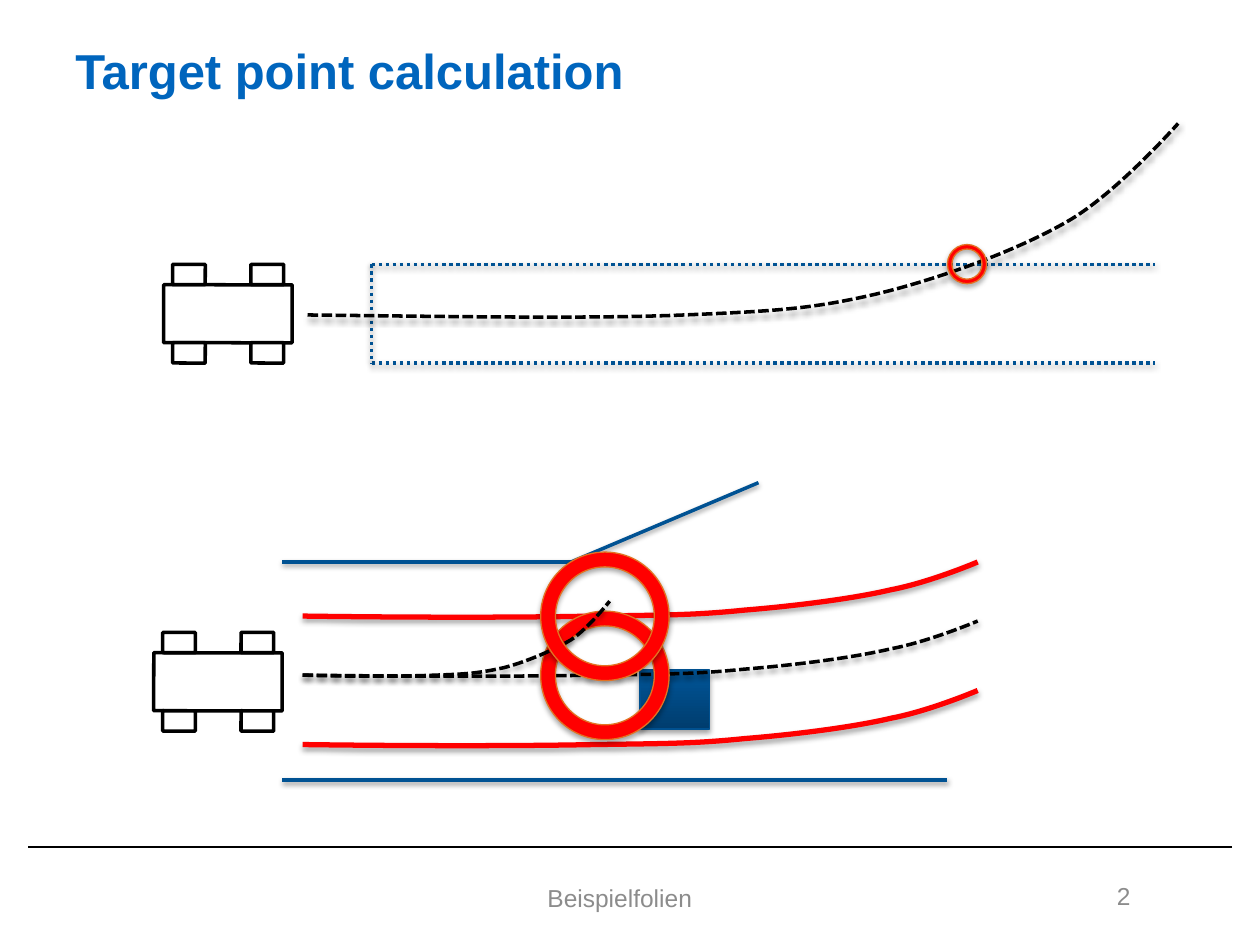
"""Build the slide on target point calculation for a vehicle."""
import lxml.etree
import pptx
import pptx.dml.color
import pptx.enum.dml
import pptx.enum.shapes
import pptx.enum.text
import pptx.oxml.ns
import pptx.util
from pptx.util import Cm, Pt

RGB = pptx.dml.color.RGBColor
DASH = pptx.enum.dml.MSO_LINE
KIND = pptx.enum.shapes.MSO_SHAPE
ALIGN = pptx.enum.text.PP_ALIGN
BLACK = RGB(0x00, 0x00, 0x00)
WHITE = RGB(0xFF, 0xFF, 0xFF)
RED = RGB(0xFF, 0x00, 0x00)
ORANGE = RGB(0xE3, 0x72, 0x22)
BLUE = RGB(0x00, 0x52, 0x93)
NAVY = RGB(0x00, 0x3D, 0x6E)
SEA = RGB(0x00, 0x50, 0x8F)
SKY = RGB(0x00, 0x65, 0xBD)
GREY = RGB(0x8C, 0x8C, 0x8C)

PATH = [(6.2, 6.35), (9.04, 6.38), (11.89, 6.43), (13.79, 6.35),
        (15.72, 6.27), (16.41, 6.22), (17.7, 5.92),
        (18.97, 5.61), (20.5, 5.05), (21.51, 4.47),
        (22.5, 3.91), (23.75, 2.49), (23.75, 2.49)]
LANE = [(6.1, 13.61), (8.31, 13.64), (10.52, 13.64), (11.99, 13.61),
        (13.49, 13.59), (14.02, 13.59), (15.01, 13.49),
        (16, 13.41), (17.2, 13.26), (17.96, 13.08),
        (18.75, 12.93), (19.71, 12.52), (19.71, 12.52)]
DODGE = [(6.1, 13.61), (7.11, 13.64), (8.1, 13.64), (8.79, 13.61),
         (9.47, 13.59), (9.7, 13.56), (10.16, 13.46),
         (10.62, 13.34), (11.15, 13.11), (11.51, 12.9),
         (11.86, 12.67), (12.29, 12.12), (12.29, 12.12)]


def tag(name):
    return pptx.oxml.ns.qn("a:" + name)


def shade(shape, dist=0, alpha=0):
    props = shape._element.spPr
    for old in props.findall(tag("effectLst")):
        props.remove(old)
    effect = lxml.etree.SubElement(props, tag("effectLst"))
    if dist:
        cast = lxml.etree.SubElement(
            effect, tag("outerShdw"), blurRad=str(Pt(3.1)),
            dist=str(Pt(dist)), dir="5400000", rotWithShape="0")
        color = lxml.etree.SubElement(cast, tag("srgbClr"), val=str(BLACK))
        lxml.etree.SubElement(color, tag("alpha"), val=str(alpha * 1000))


def stroke(shape, color, width, dash=None):
    shape.line.color.rgb = color
    shape.line.width = Pt(width)
    if dash:
        shape.line.dash_style = dash


def text(slide, box, words, size, color, align, bold=False):
    frame = slide.shapes.add_textbox(*map(Cm, box)).text_frame
    frame.word_wrap = True
    frame.vertical_anchor = pptx.enum.text.MSO_ANCHOR.MIDDLE
    para = frame.paragraphs[0]
    para.alignment = align
    run = para.add_run()
    run.text = words
    run.font.name = "Arial"
    run.font.size = Pt(size)
    run.font.bold = bold
    run.font.color.rgb = color


def line(slide, ends, color=BLUE, width=2, dash=None, cast=True):
    kind = pptx.enum.shapes.MSO_CONNECTOR.STRAIGHT
    link = slide.shapes.add_connector(kind, *map(Cm, ends))
    stroke(link, color, width, dash)
    shade(link, 1.6 if cast else 0, 38)


def curve(slide, points, color=BLACK, width=2, dash=DASH.SQUARE_DOT, drop=0):
    spots = [(Cm(x), Cm(y + drop)) for x, y in points]
    maker = slide.shapes.build_freeform(*spots[0])
    maker.add_line_segments(spots[1:], close=False)
    shape = maker.convert_to_shape()
    steps = list(shape._element.iter(tag("lnTo")))
    for i in range(0, len(steps), 3):
        bend = lxml.etree.Element(tag("cubicBezTo"))
        steps[i].addprevious(bend)
        for step in steps[i:i + 3]:
            bend.append(step[0])
            step.getparent().remove(step)
    shape.fill.background()
    stroke(shape, color, width, dash)
    shade(shape, 1.6, 38)


def ring(slide, left, top, size):
    shape = slide.shapes.add_shape(KIND.DONUT, *map(Cm, (left, top, size, size)))
    shape.adjustments[0] = 0.115
    shape.fill.solid()
    shape.fill.fore_color.rgb = RED
    stroke(shape, ORANGE, 0.75)
    shade(shape, 1.8, 35)


def block(slide, box):
    shape = slide.shapes.add_shape(KIND.RECTANGLE, *map(Cm, box))
    shape.fill.gradient()
    shape.fill.gradient_angle = 90
    for stop, color, place in zip(shape.fill.gradient_stops, (NAVY, SEA), (0, 0.8)):
        stop.color.rgb = color
        stop.position = place
    stroke(shape, SEA, 0.75)
    shade(shape, 1.8, 35)


def car(slide, left, top):
    group = slide.shapes.add_group_shape()
    wheels = [(left + x, top + y, 0.66, 0.41)
              for y in (-0.41, 1.17) for x in (0.18, 1.76)]
    for box in [(left, top, 2.59, 1.17)] + wheels:
        part = group.shapes.add_shape(KIND.RECTANGLE, *map(Cm, box))
        part.rotation = 0.1
        part.fill.solid()
        part.fill.fore_color.rgb = WHITE
        stroke(part, BLACK, 2)
        part.shadow.inherit = False


def main():
    deck = pptx.Presentation()
    deck.slide_width, deck.slide_height = Cm(25.4), Cm(19.05)
    slide = deck.slides.add_slide(deck.slide_layouts[6])
    line(slide, (24.84, 17.07, 0.56, 17.07), BLACK, 1, cast=False)
    block(slide, (12.9, 13.51, 1.4, 1.19))
    text(slide, (1.27, 0.41, 18.19, 2.01), "Target point calculation",
         28, SKY, ALIGN.LEFT, True)
    text(slide, (4.29, 17.58, 16.41, 1.04), "Beispielfolien", 14, GREY, ALIGN.CENTER)
    text(slide, (20.7, 17.55, 2.34, 1.02), "2", 14, GREY, ALIGN.RIGHT)

    for ends in ((7.49, 5.33, 23.29, 5.33), (7.49, 7.32, 23.29, 7.32),
                 (7.49, 5.33, 7.49, 7.32)):
        line(slide, ends, dash=DASH.ROUND_DOT)
    curve(slide, PATH)
    ring(slide, 19.1, 4.93, 0.79)

    curve(slide, LANE)
    for drop in (-1.19, 1.4):
        curve(slide, LANE, RED, 3, None, drop)
    for ends in ((5.69, 11.33, 11.51, 11.33), (11.51, 11.33, 15.29, 9.73),
                 (5.69, 15.72, 19.1, 15.72)):
        line(slide, ends)
    ring(slide, 10.9, 12.32, 2.59)
    curve(slide, DODGE)
    car(slide, 3.3, 5.74)
    car(slide, 3.1, 13.16)
    ring(slide, 10.9, 11.13, 2.59)
    deck.save("out.pptx")


main()
